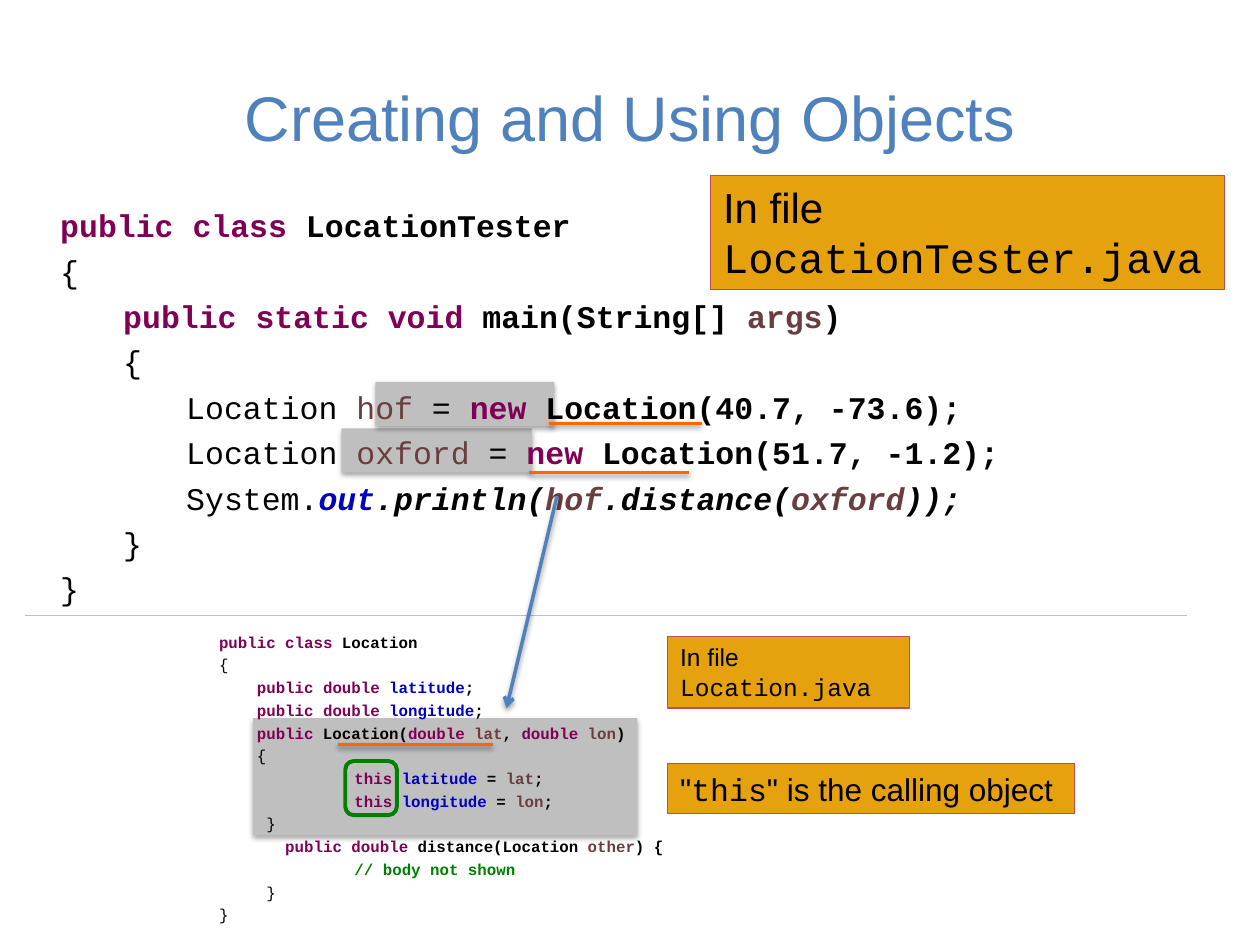
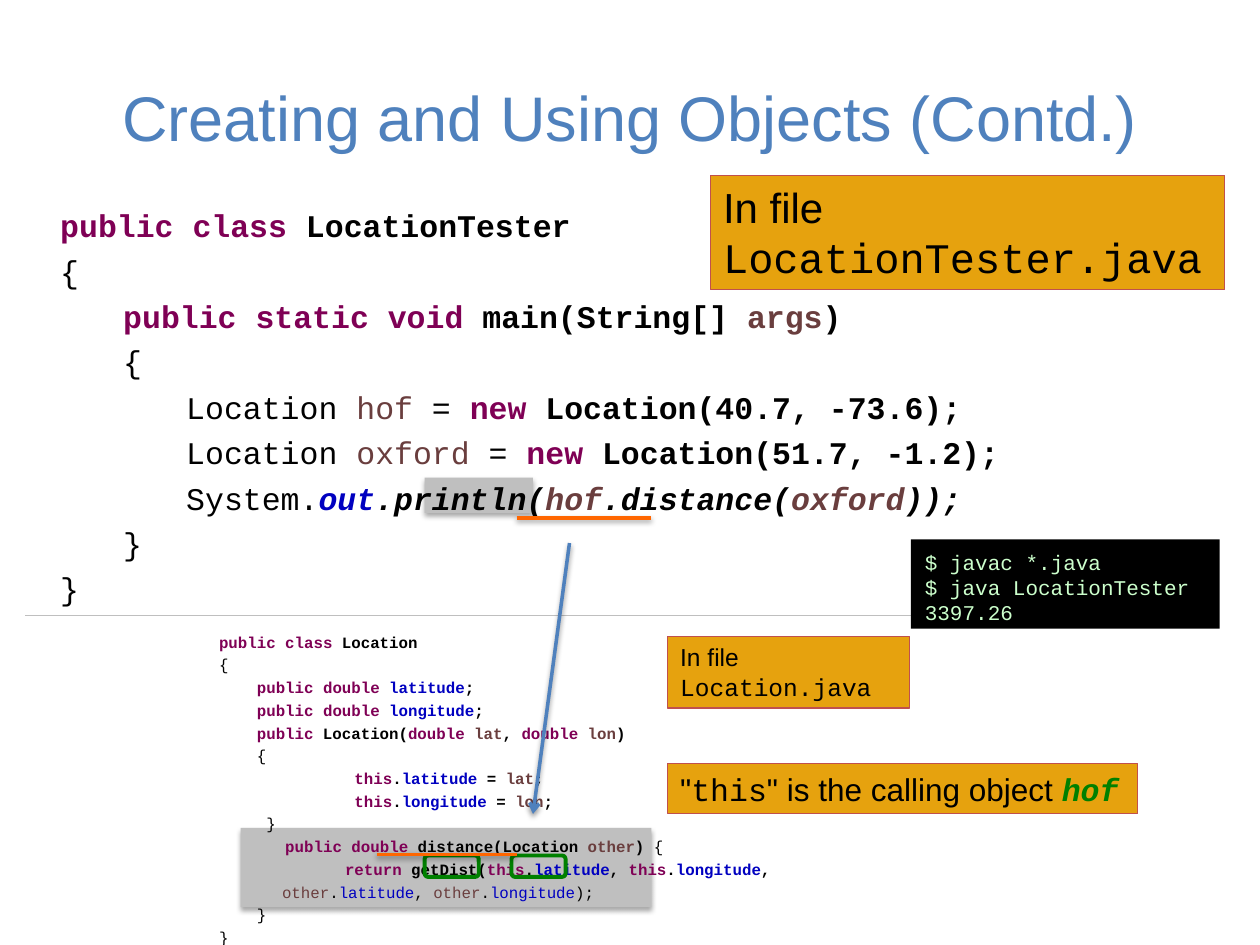
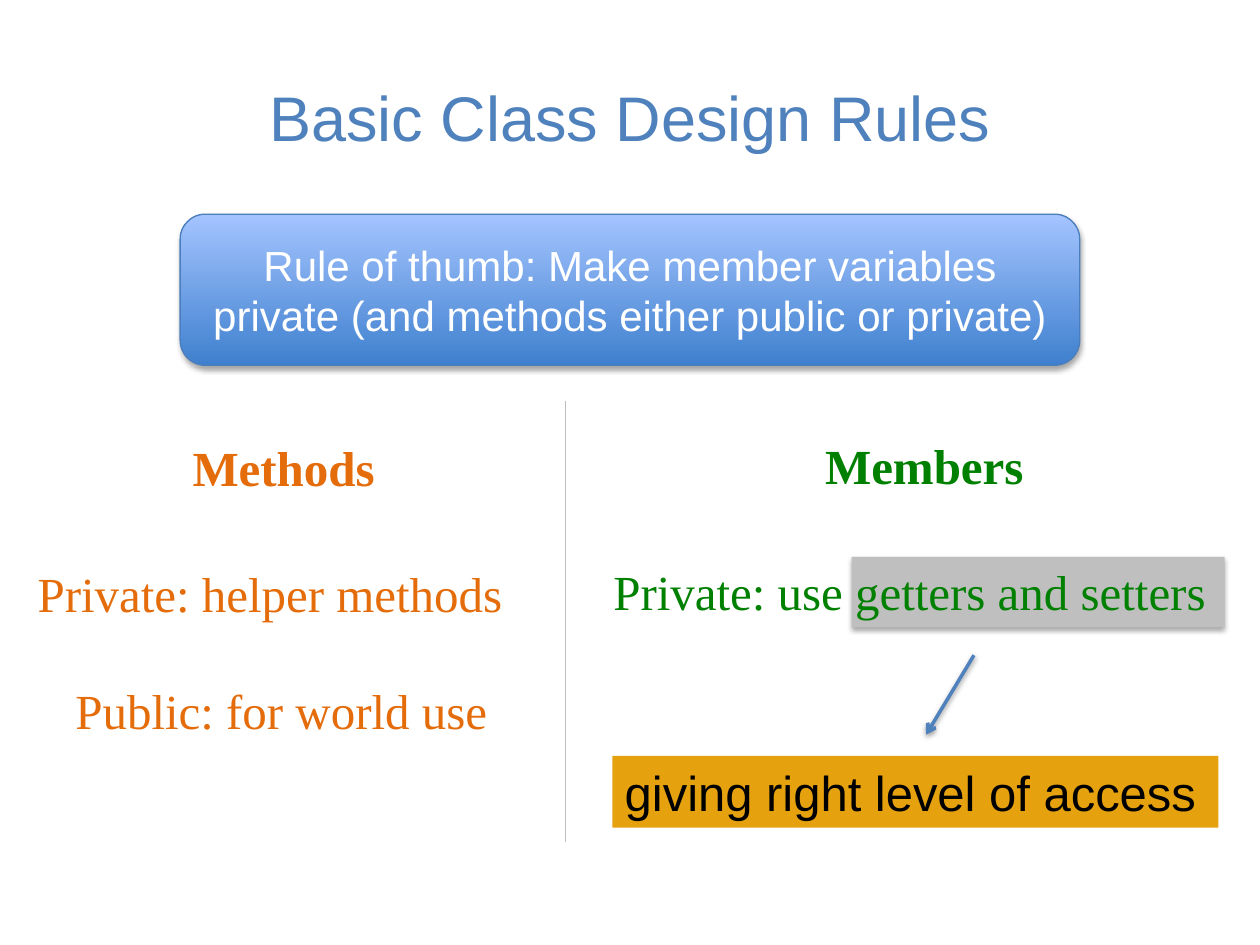
from dataclasses import dataclass
from functools import partial

from lxml.etree import SubElement
from pptx import Presentation
from pptx.dml.color import RGBColor
from pptx.enum.shapes import MSO_CONNECTOR, MSO_SHAPE
from pptx.enum.text import MSO_ANCHOR, PP_ALIGN
from pptx.oxml.ns import qn
from pptx.util import Pt

EMU_PER_PX = 9144

BLACK, WHITE, GREY = "000000", "FFFFFF", "BFBFBF"
BLUE, ORANGE, RUST = "4F81BD", "FF6600", "E46C0A"
GREEN, AMBER, RED = "008000", "E6A20E", "C0504D"
PURPLE, BROWN, NAVY, MINT = "7F0055", "6A3E3E", "0000C0", "CCFFCC"
SANS, SERIF, MONO = "Arial", "Times New Roman", "Courier New"


@dataclass(frozen=True)
class Box:
    """A rectangle on the page, in px."""
    left: int
    top: int
    width: int
    height: int


@dataclass(frozen=True)
class Span:
    """A stretch of text in one style."""
    text: str
    color: str = BLACK
    bold: bool = False
    italic: bool = False
    font: str = MONO


@dataclass(frozen=True)
class Line:
    """A straight line between two points, in px."""
    x1: int
    y1: int
    x2: int
    y2: int
    color: str = GREY
    weight: float = 0.25
    arrow: bool = False
    shadow: bool = False


@dataclass(frozen=True)
class CodePage:
    """What differs between the two code pages."""
    title: str
    highlights: list[Box]
    location_code: list[list[Span]]
    location_height: int
    frames: list[Box]
    arrow: Line
    this_width: int
    this_extra: list[Span]
    underlines: list[Line]


strong = partial(Span, bold=True)
keyword = partial(Span, color=PURPLE, bold=True)
name = partial(Span, color=BROWN)
strong_name = partial(Span, color=BROWN, bold=True)
field = partial(Span, color=NAVY, bold=True)
light_field = partial(Span, color=NAVY)
slanted = partial(Span, bold=True, italic=True)
sans = partial(Span, font=SANS)
serif = partial(Span, font=SERIF)
Pointer = partial(Line, color=BLUE, weight=2, arrow=True, shadow=True)
Underline = partial(Line, color=ORANGE, weight=2, shadow=True)

TESTER_CODE = [
    [keyword("public class"), strong(" LocationTester")],
    [Span("{")],
    [keyword("\tpublic static void"), strong(" main(String[] "), strong_name("args"), strong(")")],
    [Span("\t{")],
    [Span("\t\tLocation "), name("hof"), Span(" = "), keyword("new"),
     strong(" Location(40.7, -73.6);")],
    [Span("\t\tLocation "), name("oxford "), Span("= "), keyword("new"),
     strong(" Location(51.7, -1.2);")],
    [Span("\t\tSystem."), slanted("out", NAVY), slanted(".println("), slanted("hof", BROWN),
     slanted(".distance("), slanted("oxford", BROWN), slanted("));")],
    [Span("\t}")],
    [Span("}")],
]


def declaration(member: str) -> list[Span]:
    """Return the code line that declares a member."""
    return [keyword("    public double "), field(member), strong(";")]


def assignment(member: str, value: str) -> list[Span]:
    """Return the code line that sets a member."""
    return [keyword("\t\t this"), strong("."), field(member), strong(" = "),
            strong_name(value), strong(";")]


LOCATION_CODE = [
    [keyword("public class"), strong(" Location")],
    [Span("{")],
    declaration("latitude"),
    declaration("longitude"),
    [keyword("    public"), strong(" Location("), keyword("double "), strong_name("lat"),
     strong(", "), keyword("double "), strong_name("lon"), strong(")")],
    [Span("    {")],
    assignment("latitude", "lat"),
    assignment("longitude", "lon"),
    [Span("     }")],
]
DISTANCE_HEAD = [keyword("       public double"), strong(" distance(Location "),
                 strong_name("other")]

HIDDEN_BODY = [
    [*DISTANCE_HEAD, strong(") {")],
    [strong("\t\t // body not shown", GREEN)],
    [Span("     }")],
    [Span("}")],
]
SHOWN_BODY = [
    [*DISTANCE_HEAD, strong(") "), Span("{")],
    [keyword("\t\treturn"), strong(" getDist("), keyword("this"), strong("."),
     field("latitude"), strong(", "), keyword("this"), strong("."), field("longitude"),
     strong(",")],
    [name("\tother"), Span("."), light_field("latitude"), Span(", "), name("other"),
     Span("."), light_field("longitude"), Span(");")],
    [Span("    }")],
    [Span("}")],
]

CODE_PAGES = [
    CodePage(
        "Creating and Using Objects",
        [Box(201, 570, 305, 93), Box(271, 340, 151, 35), Box(298, 303, 142, 35)],
        LOCATION_CODE + HIDDEN_BODY, 246,
        [Box(274, 604, 41, 43)],
        Pointer(442, 394, 402, 562),
        323, [],
        [Underline(436, 336, 557, 336), Underline(420, 375, 547, 375),
         Underline(268, 591, 391, 591)],
    ),
    CodePage(
        "Creating and Using Objects (Contd.)",
        [Box(191, 657, 326, 63), Box(337, 379, 86, 28)],
        LOCATION_CODE + SHOWN_BODY, 264,
        [Box(337, 679, 43, 17), Box(406, 679, 43, 17)],
        Pointer(452, 431, 423, 646),
        373, [sans(" "), slanted("hof", GREEN)],
        [Underline(410, 411, 517, 411), Underline(299, 678, 410, 678)],
    ),
]


def px(length: int):
    """Turn px into EMU."""
    return length * EMU_PER_PX


def rgb(color: str) -> RGBColor:
    """Turn a hex string into a colour."""
    return RGBColor.from_string(color)


def place(box: Box) -> tuple:
    """Return the EMU position and size of a box."""
    return px(box.left), px(box.top), px(box.width), px(box.height)


def set_shadow(shape, shown: bool, distance: float = 1.8, opacity: int = 35) -> None:
    """Replace the theme shadow by a soft one or by none."""
    properties = shape.element.spPr
    effects = properties.find(qn("a:effectLst"))
    if effects is None:
        effects = SubElement(properties, qn("a:effectLst"))
    if shown:
        outer = SubElement(effects, qn("a:outerShdw"), blurRad=str(Pt(3.1)),
                           dist=str(Pt(distance)), dir="5400000", rotWithShape="0")
        color = SubElement(outer, qn("a:srgbClr"), val=BLACK)
        SubElement(color, qn("a:alpha"), val=str(opacity * 1000))


def write(frame, lines: list[list[Span]], size: int, code: bool = False,
          align=PP_ALIGN.LEFT, anchor=MSO_ANCHOR.TOP, wrap: bool = True) -> None:
    """Fill a text frame with styled lines."""
    frame.word_wrap = wrap
    frame.vertical_anchor = anchor
    for index, line in enumerate(lines):
        para = frame.add_paragraph() if index else frame.paragraphs[0]
        para.alignment = align
        if code:
            stops = SubElement(para._p.get_or_add_pPr(), qn("a:tabLst"))
            for stop in (50, 100):
                SubElement(stops, qn("a:tab"), pos=str(px(stop)), algn="l")
            para.line_spacing = 1.2
        for span in line:
            run = para.add_run()
            run.text = span.text
            run.font.name = span.font
            run.font.size = Pt(size)
            run.font.bold = span.bold
            run.font.italic = span.italic
            run.font.color.rgb = rgb(span.color)


def add_text(page, box: Box, lines: list[list[Span]], size: int, **options) -> None:
    """Add a text box."""
    write(page.shapes.add_textbox(*place(box)).text_frame, lines, size, **options)


def add_block(page, box: Box, fill: str | None, line: str | None = None,
              weight: float = 0.75, kind=MSO_SHAPE.RECTANGLE, shadow: bool = False):
    """Add a preset shape and return it."""
    shape = page.shapes.add_shape(kind, *place(box))
    shape.shadow.inherit = False
    if fill:
        shape.fill.solid()
        shape.fill.fore_color.rgb = rgb(fill)
    else:
        shape.fill.background()
    if line:
        shape.line.color.rgb = rgb(line)
        shape.line.width = Pt(weight)
    else:
        shape.line.fill.background()
    set_shadow(shape, shadow)
    return shape


def add_note(page, box: Box, lines: list[list[Span]], size: int,
             line: str | None = RED) -> None:
    """Add an amber note."""
    write(add_block(page, box, AMBER, line).text_frame, lines, size)


def add_highlight(page, box: Box) -> None:
    """Add a grey highlight."""
    add_block(page, box, GREY, shadow=True)


def add_line(page, line: Line) -> None:
    """Add a straight line or arrow."""
    connector = page.shapes.add_connector(
        MSO_CONNECTOR.STRAIGHT, px(line.x1), px(line.y1), px(line.x2), px(line.y2))
    connector.line.color.rgb = rgb(line.color)
    connector.line.width = Pt(line.weight)
    if line.arrow:
        SubElement(connector.element.spPr.find(qn("a:ln")), qn("a:tailEnd"), type="arrow")
    set_shadow(connector, line.shadow, 1.6, 38)


def add_title(page, title: str) -> None:
    """Add the page title."""
    add_text(page, Box(50, 30, 900, 125), [[sans(title, BLUE)]], 36,
             align=PP_ALIGN.CENTER, anchor=MSO_ANCHOR.MIDDLE)


def add_page(deck):
    """Add a blank page."""
    return deck.slides.add_slide(deck.slide_layouts[6])


def draw_code_page(deck, content: CodePage):
    """Draw a page with both classes and return it."""
    page = add_page(deck)
    for highlight in content.highlights:
        add_highlight(page, highlight)
    add_title(page, content.title)
    add_text(page, Box(38, 153, 830, 336), TESTER_CODE, 18, code=True)
    add_note(page, Box(564, 139, 408, 91), [[sans("In file "), Span("LocationTester.java")]], 24)
    add_text(page, Box(164, 494, 559, content.location_height), content.location_code, 9,
             code=True)
    add_note(page, Box(530, 505, 192, 57), [[sans("In file")], [Span("Location.java")]], 14)
    for frame in content.frames:
        add_block(page, frame, None, GREEN, 2.25, MSO_SHAPE.ROUNDED_RECTANGLE)
    add_line(page, Line(20, 488, 942, 488))
    add_line(page, content.arrow)
    add_note(page, Box(530, 606, content.this_width, 40),
             [[sans('"'), Span("this"), sans('" is the calling object'), *content.this_extra]], 18)
    for underline in content.underlines:
        add_line(page, underline)
    return page


def draw_terminal(page) -> None:
    """Draw the console with the program's result."""
    frame = add_block(page, Box(723, 428, 245, 71), BLACK).text_frame
    output = ["$ javac *.java", "$ java LocationTester", "3397.26"]
    write(frame, [[Span(text, MINT)] for text in output], 12)
    frame.margin_left = px(11)
    frame.margin_top = px(8)


def draw_rules_page(deck) -> None:
    """Draw the page of class design rules."""
    page = add_page(deck)
    add_highlight(page, Box(676, 442, 296, 56))
    add_title(page, "Basic Class Design Rules")
    labels = [
        (Box(20, 442, 412, 57), serif("Private: helper methods", RUST)),
        (Box(50, 535, 369, 57), serif("Public: for world use", RUST)),
        (Box(143, 342, 166, 57), serif("Methods", RUST, bold=True)),
        (Box(645, 341, 179, 57), serif("Members", GREEN, bold=True)),
        (Box(477, 441, 514, 57), serif("Private: use getters and setters", GREEN)),
    ]
    for box, label in labels:
        add_text(page, box, [[label]], 28, wrap=False)
    add_line(page, Line(449, 668, 449, 318))
    add_note(page, Box(486, 600, 481, 57), [[sans("giving right level of access")]], 28, None)
    add_line(page, Pointer(773, 520, 735, 583))
    banner = add_block(page, Box(143, 170, 714, 120), BLUE, "4B7EBC",
                       kind=MSO_SHAPE.ROUNDED_RECTANGLE, shadow=True)
    banner.fill.gradient()
    banner.fill.gradient_angle = 90
    for stop, color in zip(banner.fill.gradient_stops, ("3F80CE", "A4C4FF")):
        stop.color.rgb = rgb(color)
    rule = "Rule of thumb: Make member variables private (and methods either public or private)"
    write(banner.text_frame, [[sans(rule, WHITE)]], 24,
          align=PP_ALIGN.CENTER, anchor=MSO_ANCHOR.MIDDLE)


def main() -> None:
    """Build and save the deck."""
    deck = Presentation()
    deck.slide_width, deck.slide_height = px(1000), px(750)
    pages = [draw_code_page(deck, content) for content in CODE_PAGES]
    draw_terminal(pages[-1])
    draw_rules_page(deck)
    deck.save("out.pptx")


if __name__ == "__main__":
    main()
